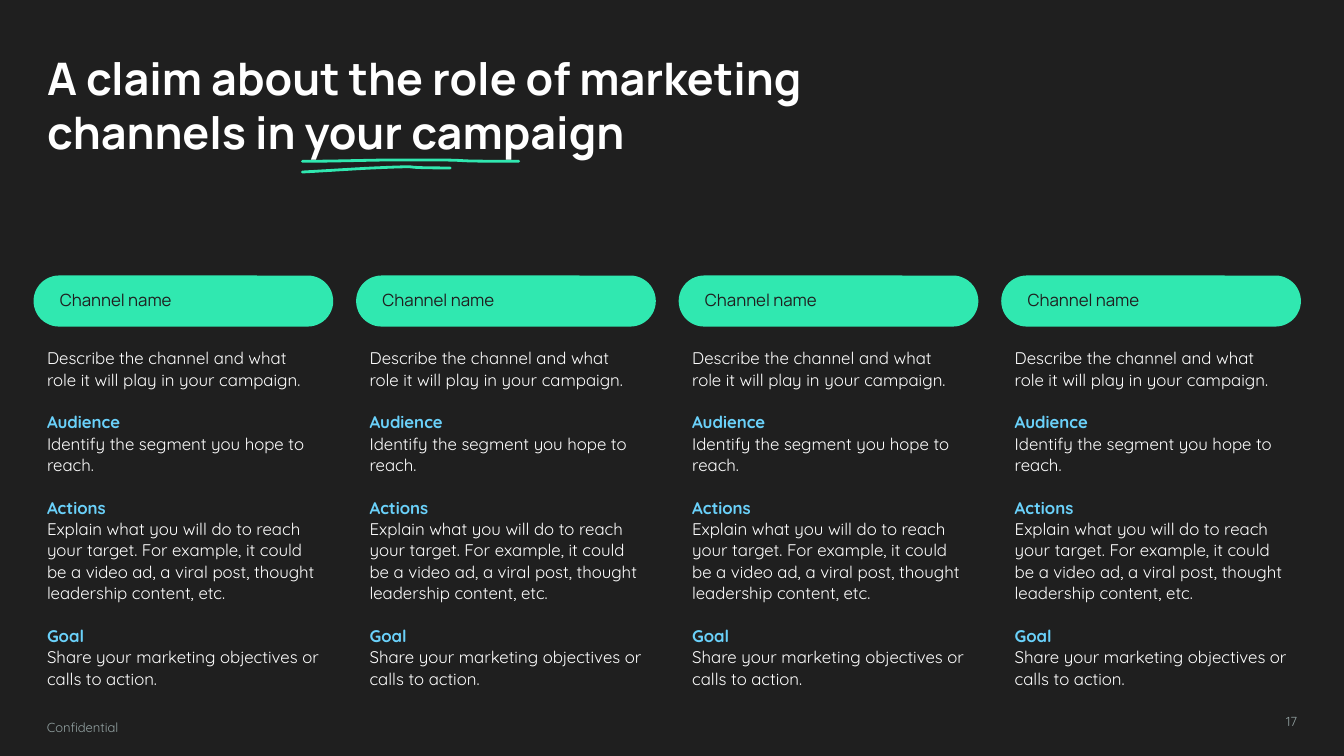
from dataclasses import dataclass

from lxml.etree import SubElement
from pptx import Presentation
from pptx.dml.color import RGBColor
from pptx.enum.shapes import MSO_SHAPE
from pptx.enum.text import MSO_ANCHOR, MSO_AUTO_SIZE, PP_ALIGN
from pptx.oxml.ns import qn
from pptx.util import Inches, Pt


@dataclass(frozen=True)
class Theme:
    dark: str = "1F1F1F"
    green: str = "30E8B0"
    blue: str = "6AD1FA"
    white: str = "FFFFFF"
    grey: str = "93A2A2"
    head: str = "Manrope"
    text: str = "Quicksand"
    title: int = 24
    body: int = 9
    small: int = 7
    stroke: float = 1.5


THEME = Theme()
WIDE = 10
HIGH = WIDE * 9 / 16
LEFT, STEP, COL = 0.25, 2.4, 2.23
PILL_TOP, PILL_HIGH = 2.05, 0.38
BODY_TOP, BODY_HIGH = 2.48, 0.79
FOOT_TOP = 5.25
INSET = 0.1

CHANNELS = ["Channel name"] * 4
INTRO = "Describe the channel and what role it will play in your campaign."
PARTS = [
    ("Audience", "Identify the segment you hope to reach."),
    ("Actions", "Explain what you will do to reach your target. For example, it could "
     "be a video ad, a viral post, thought leadership content, etc."),
    ("Goal", "Share your marketing objectives or calls to action."),
]
STROKES = [
    [(2.25, 1.2), (2.55, 1.2), (2.72, 1.19), (3.02, 1.19),
     (3.71, 1.19), (3.16, 1.2), (3.86, 1.2)],
    [(2.25, 1.28), (2.45, 1.27), (2.57, 1.26), (2.78, 1.25),
     (3.25, 1.23), (2.87, 1.25), (3.35, 1.25)],
]


def paint(code):
    return RGBColor.from_string(code)


def place(shape, left, top, width, height):
    box = {"left": left, "top": top, "width": width, "height": height}
    for name, value in box.items():
        setattr(shape, name, Inches(value))


def set_frame(shape, side=INSET, edge=INSET, anchor=MSO_ANCHOR.TOP):
    frame = shape.text_frame
    style = {
        "margin_left": Inches(side), "margin_right": Inches(side),
        "margin_top": Inches(edge), "margin_bottom": Inches(edge),
        "word_wrap": True, "auto_size": MSO_AUTO_SIZE.NONE,
        "vertical_anchor": anchor,
    }
    for name, value in style.items():
        setattr(frame, name, value)
    return frame


def write(para, text, face, size, color, bold=False, line=1.0, gap=0,
          align=PP_ALIGN.LEFT):
    para.text = text
    layout = {"alignment": align, "line_spacing": line,
              "space_before": Pt(gap), "space_after": Pt(0)}
    for name, value in layout.items():
        setattr(para, name, value)
    font = para.runs[0].font
    for name, value in {"name": face, "size": Pt(size), "bold": bold}.items():
        setattr(font, name, value)
    font.color.rgb = paint(color)


def drop_bullet(para):
    props = para._p.get_or_add_pPr()
    props.set("marL", "0")
    props.set("indent", "0")
    SubElement(props, qn("a:buNone"))


def add_title(slide):
    title = slide.shapes.title
    place(title, LEFT, 0.28, 6.24, 1.41)
    frame = set_frame(title)
    write(frame.paragraphs[0],
          "A claim about the role of marketing channels in your campaign",
          THEME.head, THEME.title, THEME.white, bold=True)


def add_pill(slide, left, name):
    pill = slide.shapes.add_shape(
        MSO_SHAPE.ROUNDED_RECTANGLE, Inches(left), Inches(PILL_TOP),
        Inches(COL), Inches(PILL_HIGH))
    pill.adjustments[0] = 0.5
    pill.shadow.inherit = False
    pill.fill.solid()
    pill.fill.fore_color.rgb = paint(THEME.green)
    pill.line.fill.background()
    frame = set_frame(pill, 0.14, 0, MSO_ANCHOR.MIDDLE)
    write(frame.paragraphs[0], name, THEME.head, THEME.body, THEME.dark, line=0.9)


def fill_body(body, left):
    place(body, left, BODY_TOP, COL, BODY_HIGH)
    frame = set_frame(body)
    rows = [(INTRO, THEME.white, False, 0)]
    for head, text in PARTS:
        rows += [(head, THEME.blue, True, 11.4), (text, THEME.white, False, 0)]
    for i, (text, color, bold, gap) in enumerate(rows):
        para = frame.add_paragraph() if i else frame.paragraphs[0]
        drop_bullet(para)
        write(para, text, THEME.text, THEME.body, color, bold, 1.06, gap)


def add_note(slide, text, left, width, height, align, edge):
    box = slide.shapes.add_textbox(
        Inches(left), Inches(FOOT_TOP), Inches(width), Inches(height))
    frame = set_frame(box, edge=edge)
    write(frame.paragraphs[0], text, THEME.text, THEME.small, THEME.grey, align=align)


def trace(knots, steps=12):
    """Points along a chain of cubic curves that share their end knots."""
    points = [knots[0]]
    for i in range(0, len(knots) - 1, 3):
        for n in range(1, steps + 1):
            t = n / steps
            parts = ((1 - t) ** 3, 3 * t * (1 - t) ** 2, 3 * t * t * (1 - t), t ** 3)
            points.append(tuple(
                sum(w * knot[axis] for w, knot in zip(parts, knots[i:i + 4]))
                for axis in (0, 1)))
    return points


def add_stroke(slide, knots):
    points = [(Inches(x), Inches(y)) for x, y in trace(knots)]
    pen = slide.shapes.build_freeform(*points[0])
    pen.add_line_segments(points[1:], close=False)
    stroke = pen.convert_to_shape()
    stroke.shadow.inherit = False
    stroke.fill.background()
    stroke.line.color.rgb = paint(THEME.green)
    stroke.line.width = Pt(THEME.stroke)
    stroke.line._ln.set("cap", "rnd")


def main():
    deck = Presentation()
    deck.slide_width, deck.slide_height = Inches(WIDE), Inches(HIGH)
    slide = deck.slides.add_slide(deck.slide_layouts.get_by_name("Comparison"))
    slide.background.fill.solid()
    slide.background.fill.fore_color.rgb = paint(THEME.dark)

    add_title(slide)
    bodies = list(slide.placeholders)[1:]
    for i, (name, body) in enumerate(zip(CHANNELS, bodies)):
        left = LEFT + i * STEP
        add_pill(slide, left, name)
        fill_body(body, left)
    for knots in STROKES:
        add_stroke(slide, knots)
    add_note(slide, "Confidential", LEFT, 1.22, 0.34, PP_ALIGN.LEFT, INSET)
    add_note(slide, "17", 7.35, 2.4, 0.32, PP_ALIGN.RIGHT, 0.06)
    deck.save("out.pptx")


if __name__ == "__main__":
    main()
